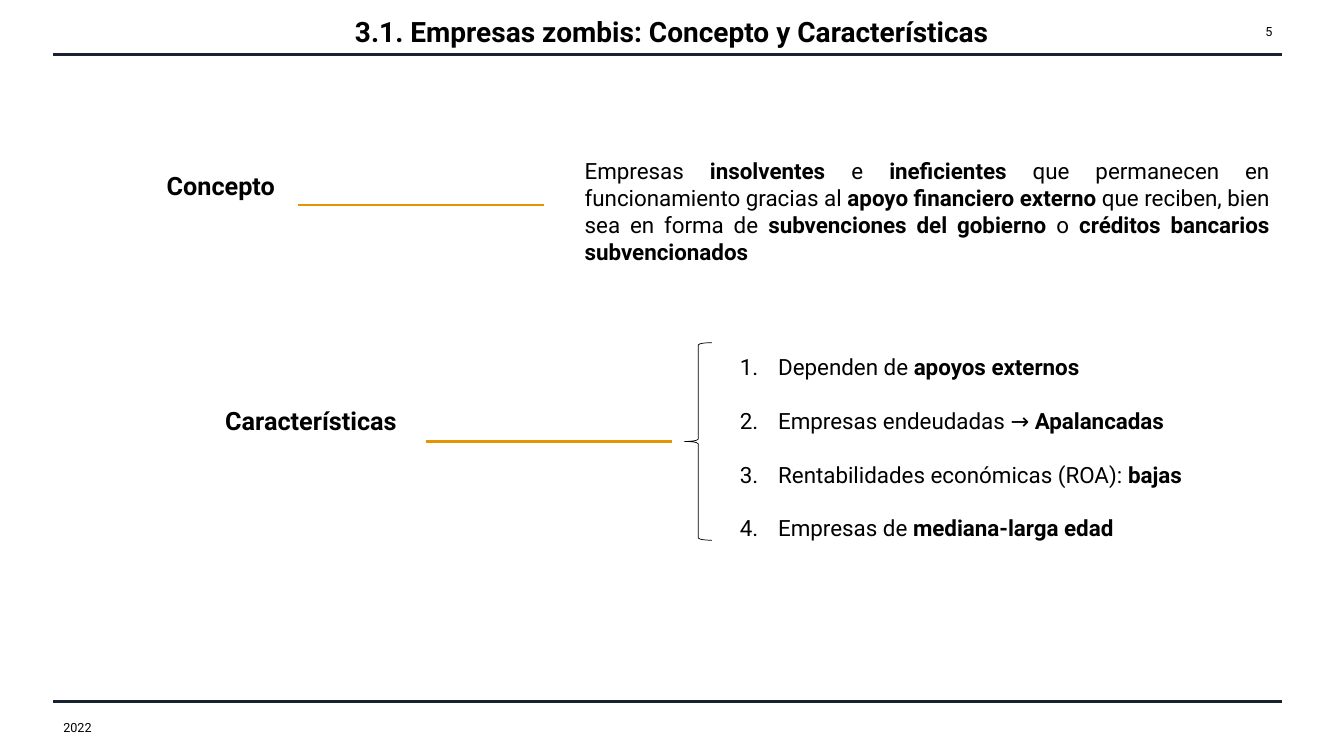
from lxml.etree import SubElement
from pptx import Presentation
from pptx.dml.color import RGBColor
from pptx.enum.shapes import MSO_CONNECTOR as Connector, MSO_SHAPE as Shape
from pptx.enum.text import MSO_ANCHOR as Anchor, MSO_AUTO_SIZE as AutoSize, PP_ALIGN as Align
from pptx.oxml.ns import qn
from pptx.util import Pt

EMU_PER_PX = 9144
TITLE_ONLY = 5


def px(length):
    """Turn px, at 100 to the inch, into EMU."""
    return length * EMU_PER_PX


def colour(hex_value):
    """Turn a hex string into a colour."""
    return RGBColor.from_string(hex_value)


class SlideBuilder:
    """Hold the style and the current slide."""

    font = "Roboto"
    ink = "000000"
    navy = "182230"
    amber = "E69500"

    def __init__(self, slide):
        """Keep the slide that receives the elements."""
        self.slide = slide

    def place(self, shape, left, top, width, height):
        """Set the position and size of a shape."""
        shape.left, shape.top = px(left), px(top)
        shape.width, shape.height = px(width), px(height)

    def fill_text(self, box, lines, size, bold=False, align=Align.LEFT, anchor=Anchor.TOP,
                  numbered=False):
        """Fill a box with lines, where ** switches bold on and off."""
        frame = box.text_frame
        frame.word_wrap = True
        frame.auto_size = AutoSize.NONE
        frame.vertical_anchor = anchor
        for index, line in enumerate(lines):
            para = frame.add_paragraph() if index else frame.paragraphs[0]
            para.alignment = align
            if numbered:
                self.number(para)
            para.font.name = self.font
            para.font.size = Pt(size)
            para.font.color.rgb = colour(self.ink)
            para.font.bold = bold
            for position, words in enumerate(line.split("**")):
                if words:
                    span = para.add_run()
                    span.text = words
                    if position % 2:
                        span.font.bold = True

    def number(self, para):
        """Give a paragraph an automatic number and double spacing."""
        para.line_spacing = 2.0
        properties = para._p.get_or_add_pPr()
        properties.set("marL", str(px(38)))
        properties.set("indent", str(px(-38)))
        SubElement(properties, qn("a:buAutoNum"), type="arabicPeriod")

    def title(self, text, left, top, width, height):
        """Move and format the title placeholder."""
        box = self.slide.shapes.title
        self.place(box, left, top, width, height)
        self.fill_text(box, [text], 20, bold=True, align=Align.CENTER, anchor=Anchor.MIDDLE)

    def text(self, lines, left, top, width, height, size, **style):
        """Add a text box."""
        box = self.slide.shapes.add_textbox(px(left), px(top), px(width), px(height))
        self.fill_text(box, lines, size, **style)

    def rule(self, left, top, width, hex_value, weight):
        """Add a horizontal line."""
        line = self.slide.shapes.add_connector(
            Connector.STRAIGHT, px(left), px(top), px(left + width), px(top))
        line.line.color.rgb = colour(hex_value)
        line.line.width = Pt(weight)
        SubElement(line._element.spPr, qn("a:effectLst"))

    def brace(self, left, top, width, height):
        """Add a thin left brace."""
        brace = self.slide.shapes.add_shape(
            Shape.LEFT_BRACE, px(left), px(top), px(width), px(height))
        brace.shadow.inherit = False
        brace.fill.background()
        brace.line.color.rgb = colour(self.ink)
        brace.line.width = Pt(0.5)


def main():
    """Build and save the slide."""
    deck = Presentation()
    deck.slide_width, deck.slide_height = px(1333), px(750)
    page = SlideBuilder(deck.slides.add_slide(deck.slide_layouts[TITLE_ONLY]))

    for top in (54, 696):
        page.rule(53, top, 1219, page.navy, 2.25)
    page.title("3.1. Empresas zombis: Concepto y Características", 211, 5, 911, 53)

    headings = [
        ("Concepto", 142, 164, 154, 296, 203),
        ("Características", 211, 397, 195, 423, 438),
    ]
    for heading, left, top, width, rule_left, rule_top in headings:
        page.text([heading], left, top, width, 40, 18, bold=True, align=Align.CENTER)
        page.rule(rule_left, rule_top, 244, page.amber, 1.5)

    definition = (
        "Empresas **insolventes** e **ineficientes** que permanecen en funcionamiento "
        "gracias al **apoyo financiero externo** que reciben, bien sea en forma de "
        "**subvenciones del gobierno** o **créditos bancarios subvencionados**"
    )
    page.text([definition], 570, 151, 699, 118, 16, align=Align.JUSTIFY)

    features = [
        "Dependen de **apoyos externos**",
        "Empresas endeudadas → **Apalancadas**",
        "Rentabilidades económicas (ROA): **bajas**",
        "Empresas de **mediana-larga edad**",
    ]
    page.brace(679, 340, 27, 196)
    page.text(features, 724, 319, 513, 217, 16, numbered=True)

    page.text(["2022"], 53, 702, 450, 40, 9, anchor=Anchor.MIDDLE)
    page.text(["5"], 1202, 11, 70, 40, 9, align=Align.RIGHT, anchor=Anchor.MIDDLE)
    deck.save("out.pptx")


if __name__ == "__main__":
    main()
